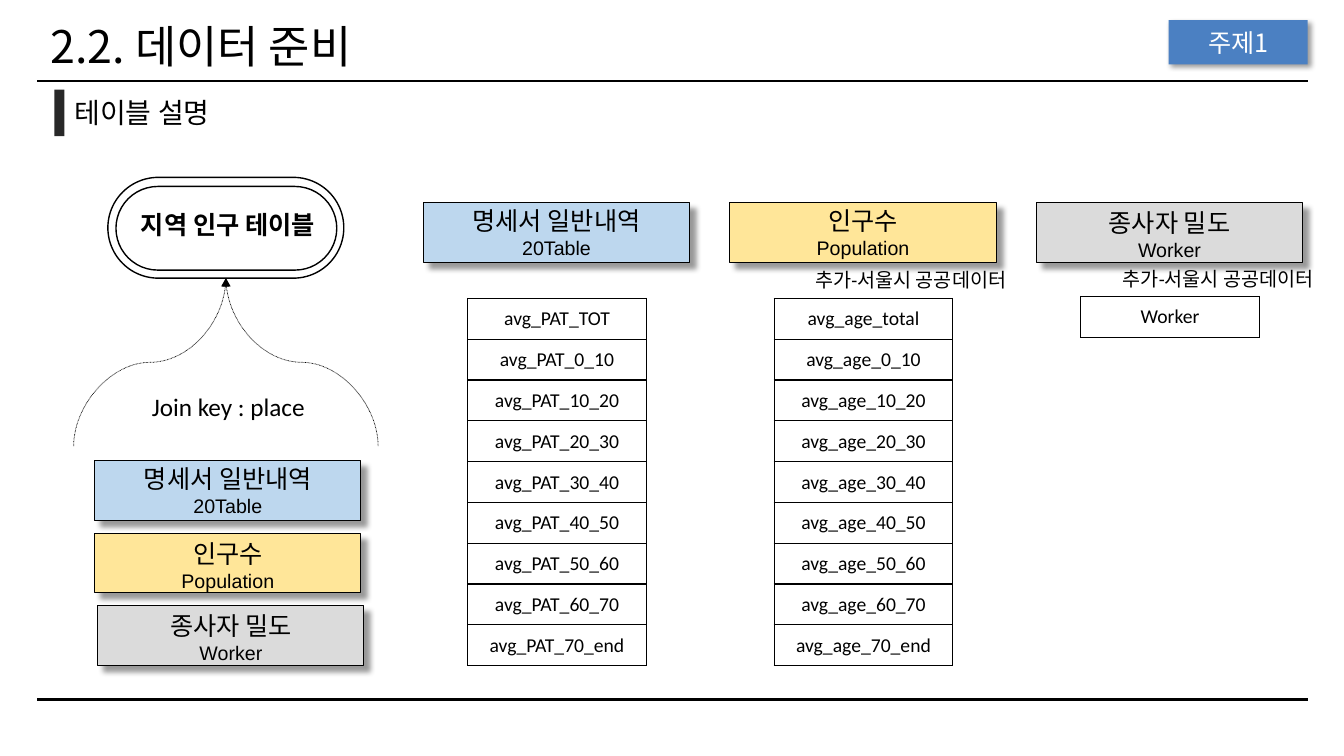
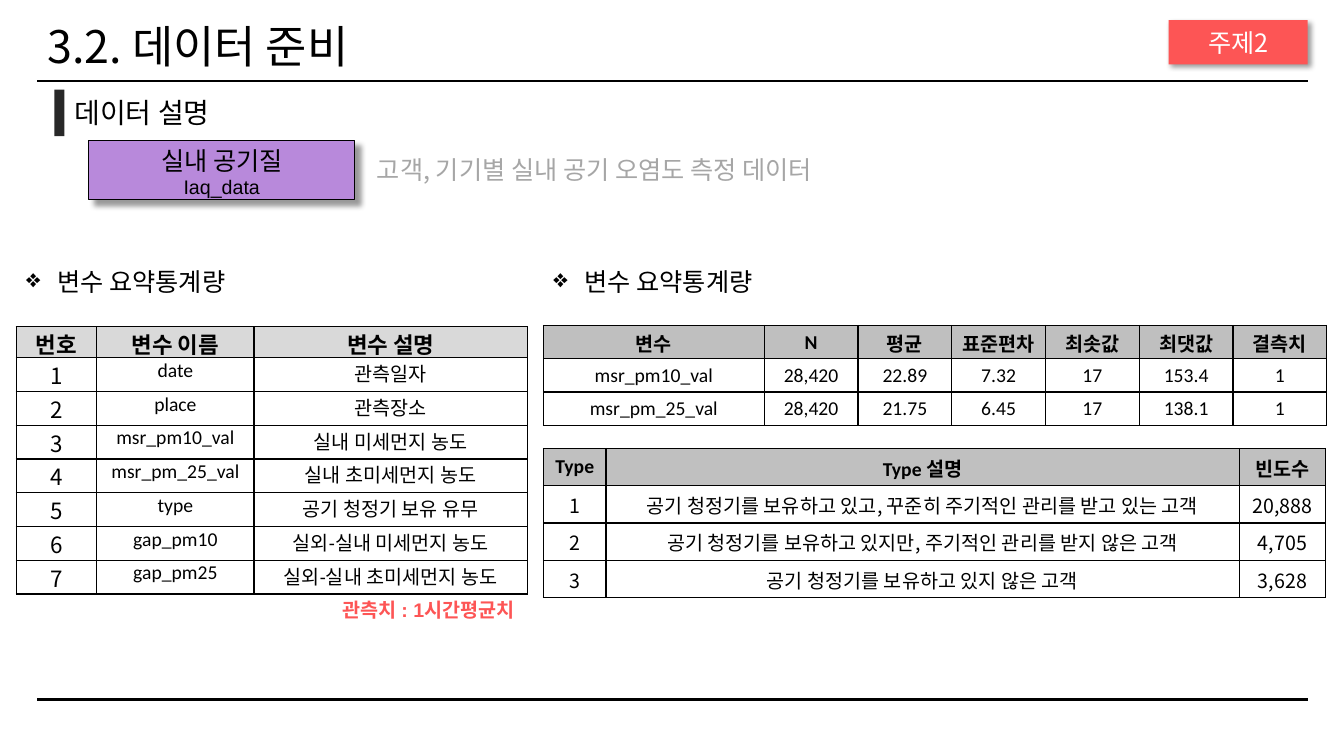
"""Build two data preparation slides: table overview and variable summary."""
from dataclasses import dataclass

from lxml.etree import SubElement
from pptx import Presentation
from pptx.dml.color import RGBColor
from pptx.enum.dml import MSO_LINE
from pptx.enum.shapes import MSO_CONNECTOR, MSO_SHAPE
from pptx.enum.text import MSO_ANCHOR, MSO_AUTO_SIZE, PP_ALIGN
from pptx.oxml.ns import qn
from pptx.util import Inches, Pt


@dataclass(frozen=True)
class Theme:
    black: str = "000000"
    white: str = "FFFFFF"
    bar: str = "282828"
    muted: str = "A6A6A6"
    topic_one: str = "4B80C2"
    topic_two: str = "FD5555"
    blue: str = "BDD7EE"
    yellow: str = "FFE699"
    gray: str = "DBDBDB"
    purple: str = "B889DB"
    header_light: str = "D9D9D9"
    header_mid: str = "BFBFBF"
    header_dark: str = "C0C0C0"
    korean: str = "Noto Sans CJK KR"
    title: Pt = Pt(32)
    heading: Pt = Pt(20)
    body: Pt = Pt(18)
    number: Pt = Pt(16)
    small: Pt = Pt(14)


theme = Theme()
TITLE = {"name": theme.korean, "size": theme.title, "bold": False}
HEADING = {"name": theme.korean, "size": theme.heading}
TAG = {"name": theme.korean, "size": theme.body}
BOX_NAME = {"name": "Arial", "size": theme.body}
BOX_DETAIL = {"name": "Arial", "size": theme.small}
NOTE = {"name": "Arial", "size": theme.small, "bold": True}
LABEL = {"name": "Calibri", "size": theme.body}
LABEL_BOLD = LABEL | {"bold": True}
CELL = {"name": "Calibri", "size": theme.small}
CELL_BOLD = CELL | {"bold": True}
CELL_KOREAN = {"name": theme.korean, "size": theme.small}
NUMBER = {"name": theme.korean, "size": theme.number}
NUMBER_BOLD = NUMBER | {"bold": True}


def write_text(frame, lines, align=PP_ALIGN.LEFT, color=theme.black, bullet=None):
    for index, (text, font_format) in enumerate(lines):
        paragraph = frame.add_paragraph() if index else frame.paragraphs[0]
        paragraph.alignment = align
        if bullet:
            properties = paragraph._p.get_or_add_pPr()
            properties.set("marL", str(Inches(0.31)))
            properties.set("indent", str(-Inches(0.31)))
            SubElement(properties, qn("a:buChar")).set("char", bullet)
        run = paragraph.add_run()
        run.text = text
        for name, value in font_format.items():
            setattr(run.font, name, value)
        run.font.color.rgb = RGBColor.from_string(color)
        SubElement(run._r.rPr, qn("a:ea")).set("typeface", theme.korean)


def add_grid(slide, left, top, widths, heights, rows, column_fonts,
             header_font=None, header_fill=None, body_anchor=MSO_ANCHOR.MIDDLE,
             padding=(0.01, 0.01, 0.01, 0)):
    table = slide.shapes.add_table(
        len(rows), len(widths), Inches(left), Inches(top),
        Inches(sum(widths)), Inches(sum(heights))).table
    table.first_row = table.horz_banding = False
    for column, width in zip(table.columns, widths):
        column.width = Inches(width)
    for row_index, (row, height) in enumerate(zip(rows, heights)):
        table.rows[row_index].height = Inches(height)
        is_header = header_fill is not None and row_index == 0
        for column_index, text in enumerate(row):
            cell = table.cell(row_index, column_index)
            cell.vertical_anchor = MSO_ANCHOR.MIDDLE if is_header else body_anchor
            for side, margin in zip(("left", "top", "right", "bottom"), padding):
                setattr(cell, f"margin_{side}", Inches(margin))
            for edge in ("a:lnL", "a:lnR", "a:lnT", "a:lnB"):
                border = SubElement(cell._tc.get_or_add_tcPr(), qn(edge), w=str(Pt(1)))
                fill = SubElement(border, qn("a:solidFill"))
                SubElement(fill, qn("a:srgbClr"), val=theme.black)
            if is_header:
                cell.fill.solid()
                cell.fill.fore_color.rgb = RGBColor.from_string(header_fill)
            else:
                cell.fill.background()
            font = header_font if is_header else column_fonts[column_index]
            write_text(cell.text_frame, [(text, font)], PP_ALIGN.CENTER)


presentation = Presentation()
presentation.slide_width = Inches(13.33)
presentation.slide_height = Inches(7.5)

slides = []
boxes = []
for title, title_left, heading, tag, tag_fill in (
    ("2.2. 데이터 준비", 0.4, "테이블 설명", "주제1", theme.topic_one),
    ("3.2. 데이터 준비", 0.37, "데이터 설명", "주제2", theme.topic_two),
):
    slide = presentation.slides.add_slide(presentation.slide_layouts[5])
    slides.append(slide)
    for y in (0.8, 6.94):
        rule = slide.shapes.add_connector(
            MSO_CONNECTOR.STRAIGHT, Inches(0.37), Inches(y), Inches(12.97), Inches(y))
        rule.line.width = Pt(1.5)
        rule.line.color.rgb = RGBColor.from_string(theme.black)
        SubElement(rule.element.spPr, qn("a:effectLst"))

    placeholder = slide.shapes.title
    for name, value in {"left": title_left, "top": 0.2, "width": 10.5, "height": 0.58}.items():
        setattr(placeholder, name, Inches(value))
    placeholder.text_frame.auto_size = MSO_AUTO_SIZE.NONE
    placeholder.text_frame.vertical_anchor = MSO_ANCHOR.MIDDLE
    write_text(placeholder.text_frame, [(title, TITLE)])
    placeholder.text_frame.paragraphs[0].line_spacing = 0.9

    bar = slide.shapes.add_shape(
        MSO_SHAPE.RECTANGLE, Inches(0.54), Inches(0.89), Inches(0.1), Inches(0.46))
    bar.shadow.inherit = False
    bar.fill.solid()
    bar.fill.fore_color.rgb = RGBColor.from_string(theme.bar)
    bar.line.fill.background()

    heading_box = slide.shapes.add_textbox(
        Inches(0.64), Inches(0.9), Inches(3.3), Inches(0.44))
    heading_box.text_frame.word_wrap = True
    write_text(heading_box.text_frame, [(heading, HEADING)])
    boxes.append((slide, (11.59, 0.2, 1.38, 0.44), tag_fill, theme.white, None, 3,
                  MSO_ANCHOR.MIDDLE, [(tag, TAG)]))

overview, summary = slides

for left, top, width, height in ((1.07, 1.76, 2.34, 1), (1.15, 1.85, 2.19, 0.83)):
    capsule = overview.shapes.add_shape(
        MSO_SHAPE.ROUNDED_RECTANGLE, Inches(left), Inches(top), Inches(width), Inches(height))
    capsule.adjustments[0] = 0.5
    capsule.shadow.inherit = False
    capsule.fill.background()
    capsule.line.width = Pt(1)
    capsule.line.color.rgb = RGBColor.from_string(theme.black)

for begin_x, end_x, rotation in ((0.65, 2.32, 90), (3.83, 2.16, 270)):
    curve = overview.shapes.add_connector(
        MSO_CONNECTOR.CURVE, Inches(begin_x), Inches(2.84), Inches(end_x), Inches(4.35))
    curve.element.spPr.find(qn("a:xfrm")).set("rot", str(rotation * 60000))
    curve.line.width = Pt(0.5)
    curve.line.color.rgb = RGBColor.from_string(theme.black)
    curve.line.dash_style = MSO_LINE.ROUND_DOT
    SubElement(curve.line._get_or_add_ln(), qn("a:headEnd"), type="triangle")
    SubElement(curve.element.spPr, qn("a:effectLst"))

bands = [f"{age}_{age + 10}" for age in range(0, 70, 10)] + ["70_end"]
sources = (
    ("명세서 일반내역", "20Table", theme.blue, 0.94, 2.96,
     MSO_ANCHOR.MIDDLE, MSO_ANCHOR.MIDDLE,
     ["avg_PAT_TOT"] + [f"avg_PAT_{band}" for band in bands]),
    ("인구수", "Population", theme.yellow, 0.94, 2.96,
     MSO_ANCHOR.TOP, MSO_ANCHOR.MIDDLE,
     ["avg_age_total"] + [f"avg_age_{band}" for band in bands]),
    ("종사자 밀도", "Worker", theme.gray, 0.97, 2.94,
     MSO_ANCHOR.TOP, MSO_ANCHOR.TOP, ["Worker"]),
)
for index, (name, detail, fill, left, table_top, left_anchor, head_anchor,
            fields) in enumerate(sources):
    lines = [(name, BOX_NAME), (detail, BOX_DETAIL)]
    shift = 3.04 * index
    for position, anchor in (((left, 4.57 + 0.72 * index), left_anchor),
                             ((4.2 + shift, 2.01), head_anchor)):
        boxes.append((overview, (*position, 2.64, 0.59), fill, theme.black,
                      theme.black, 6, anchor, lines))
    add_grid(overview, 4.64 + shift, table_top, [1.77], [0.405] * len(fields),
             [[field] for field in fields], [CELL])

boxes.append((summary, (0.88, 1.39, 2.64, 0.59), theme.purple, theme.black, theme.black, 6,
              MSO_ANCHOR.TOP, [("실내 공기질", BOX_NAME), ("Iaq_data", BOX_DETAIL)]))

for slide, bounds, fill, color, outline, distance, anchor, lines in boxes:
    box = slide.shapes.add_shape(MSO_SHAPE.RECTANGLE, *map(Inches, bounds))
    box.fill.solid()
    box.fill.fore_color.rgb = RGBColor.from_string(fill)
    if outline:
        box.line.width = Pt(0.75)
        box.line.color.rgb = RGBColor.from_string(outline)
    else:
        box.line.fill.background()
    box.shadow.inherit = False
    shadow = SubElement(
        box.element.spPr.find(qn("a:effectLst")), qn("a:outerShdw"), blurRad=str(Pt(4)),
        dist=str(Pt(distance)), dir=str(45 * 60000), algn="tl", rotWithShape="0")
    shade = SubElement(shadow, qn("a:srgbClr"), val=theme.black)
    SubElement(shade, qn("a:alpha"), val="40000")
    box.text_frame.word_wrap = True
    box.text_frame.vertical_anchor = anchor
    write_text(box.text_frame, lines, PP_ALIGN.CENTER, color)

labels = (
    (overview, 1.2, 2.03, 2.12, "지역 인구 테이블", LABEL_BOLD, PP_ALIGN.CENTER, theme.black, None),
    (overview, 1.26, 3.83, 2.01, "Join key : place", LABEL, PP_ALIGN.CENTER, theme.black, None),
    (overview, 7.58, 2.61, 2.5, "추가-서울시 공공데이터", CELL, PP_ALIGN.RIGHT, theme.black, None),
    (overview, 10.63, 2.6, 2.5, "추가-서울시 공공데이터", CELL, PP_ALIGN.RIGHT, theme.black, None),
    (summary, 3.64, 1.48, 6.67, "고객, 기기별 실내 공기 오염도 측정 데이터", TAG,
     PP_ALIGN.LEFT, theme.muted, None),
    (summary, 3.3, 5.88, 2.3, "관측치 : 1시간평균치", NOTE, PP_ALIGN.LEFT, theme.topic_two, None),
    (summary, 0.16, 2.59, 2.5, "변수 요약통계량", BOX_NAME, PP_ALIGN.LEFT, theme.black, "❖"),
    (summary, 5.39, 2.59, 2.5, "변수 요약통계량", BOX_NAME, PP_ALIGN.LEFT, theme.black, "❖"),
)
for slide, left, top, width, text, font, align, color, bullet in labels:
    label = slide.shapes.add_textbox(Inches(left), Inches(top), Inches(width), Inches(0.4))
    label.text_frame.word_wrap = True
    write_text(label.text_frame, [(text, font)], align, color, bullet)

variables = (
    ("date", "관측일자"),
    ("place", "관측장소"),
    ("msr_pm10_val", "실내 미세먼지 농도"),
    ("msr_pm_25_val", "실내 초미세먼지 농도"),
    ("type", "공기 청정기 보유 유무"),
    ("gap_pm10", "실외-실내 미세먼지 농도"),
    ("gap_pm25", "실외-실내 초미세먼지 농도"),
)
variable_rows = [("번호", "변수 이름", "변수 설명")]
variable_rows += [(str(number), *row) for number, row in enumerate(variables, 1)]
add_grid(summary, 0.16, 3.24, [0.8, 1.56, 2.71], [0.31] + [0.335] * 7, variable_rows,
         [NUMBER, CELL, CELL], NUMBER_BOLD, theme.header_light, MSO_ANCHOR.TOP)

statistic_rows = (
    ("변수", "N", "평균", "표준편차", "최솟값", "최댓값", "결측치"),
    ("msr_pm10_val", "28,420", "22.89", "7.32", "17", "153.4", "1"),
    ("msr_pm_25_val", "28,420", "21.75", "6.45", "17", "138.1", "1"),
)
add_grid(summary, 5.39, 3.23, [2.19] + [0.93] * 6, [0.33] * 3, statistic_rows,
         [CELL] * 7, CELL_BOLD, theme.header_mid)

type_rows = (
    ("Type", "Type 설명", "빈도수"),
    ("1", "공기 청정기를 보유하고 있고, 꾸준히 주기적인 관리를 받고 있는 고객", "20,888"),
    ("2", "공기 청정기를 보유하고 있지만, 주기적인 관리를 받지 않은 고객", "4,705"),
    ("3", "공기 청정기를 보유하고 있지 않은 고객", "3,628"),
)
add_grid(summary, 5.39, 4.45, [0.62, 6.28, 0.86], [0.37] * 4, type_rows,
         [CELL_KOREAN] * 3, CELL_BOLD, theme.header_dark, padding=(0.1, 0.05, 0.1, 0.05))

presentation.save("out.pptx")
